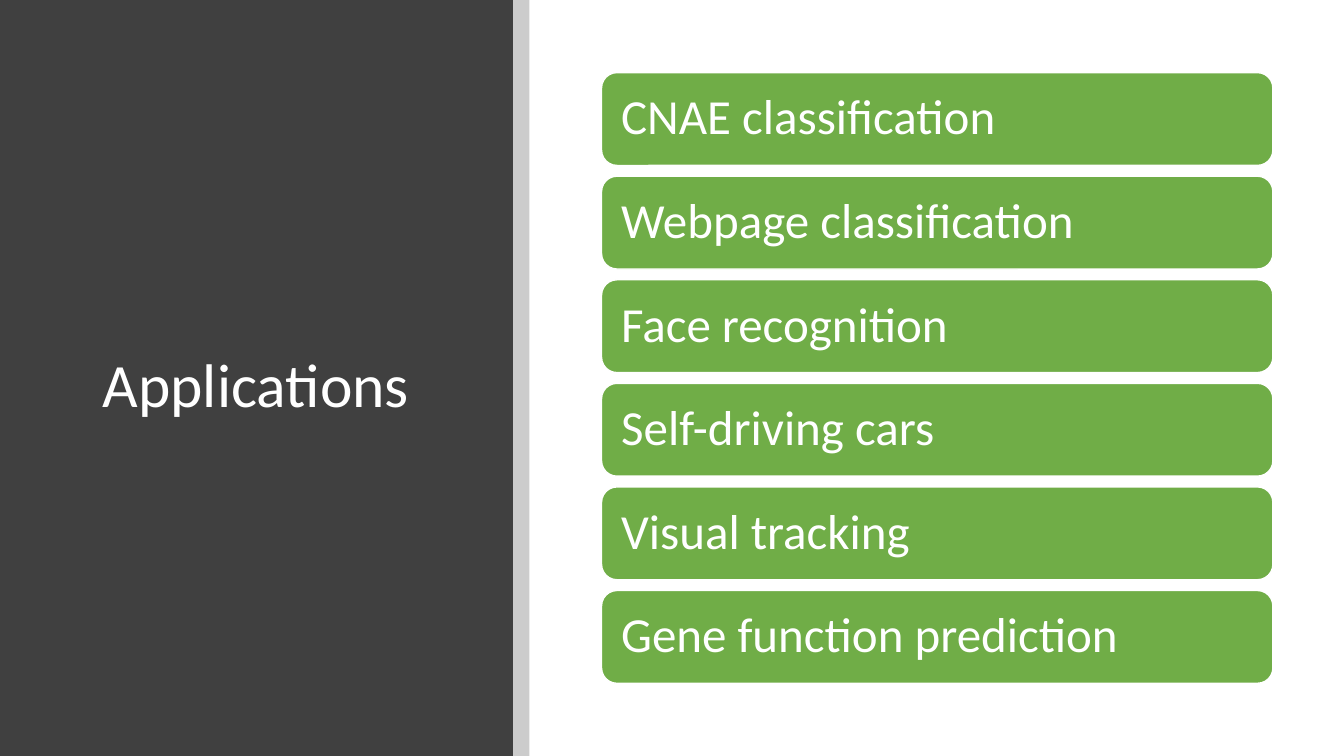
from dataclasses import dataclass

from lxml.etree import SubElement
from pptx import Presentation
from pptx.dml.color import RGBColor
from pptx.enum.shapes import MSO_SHAPE as Preset
from pptx.enum.text import MSO_ANCHOR as Anchor, PP_ALIGN as Align
from pptx.oxml.ns import qn
from pptx.shapes.autoshape import Shape
from pptx.slide import Slide
from pptx.util import Cm, Pt

COLORS = {"panel": "404040", "strip": "000000", "card": "70AD47", "white": "FFFFFF"}
FONT = "Calibri"
APPLICATIONS = (
    "CNAE classification",
    "Webpage classification",
    "Face recognition",
    "Self-driving cars",
    "Visual tracking",
    "Gene function prediction",
)
CARD_TOP = 1.83
CARD_PITCH = 2.61


@dataclass(frozen=True)
class Box:
    left: float
    top: float
    width: float
    height: float

    def lengths(self) -> tuple[Cm, Cm, Cm, Cm]:
        return Cm(self.left), Cm(self.top), Cm(self.width), Cm(self.height)


@dataclass(frozen=True)
class Card:
    text: str
    box: Box


def color(name: str) -> RGBColor:
    return RGBColor.from_string(COLORS[name])


def add_filled(slide: Slide, preset: Preset, box: Box, fill: str) -> Shape:
    shape = slide.shapes.add_shape(preset, *box.lengths())
    shape.shadow.inherit = False
    shape.fill.solid()
    shape.fill.fore_color.rgb = color(fill)
    shape.line.fill.background()
    return shape


def set_opacity(shape: Shape, percent: int) -> None:
    fill_color = shape.fill._xPr.find(qn("a:solidFill"))[0]
    SubElement(fill_color, qn("a:alpha"), val=str(percent * 1000))


def write_text(shape: Shape, text: str, *, size: float, horizontal: float, vertical: float) -> None:
    frame = shape.text_frame
    frame.word_wrap = True
    frame.vertical_anchor = Anchor.MIDDLE
    frame.margin_left = frame.margin_right = Cm(horizontal)
    frame.margin_top = frame.margin_bottom = Cm(vertical)
    paragraph = frame.paragraphs[0]
    paragraph.alignment = Align.LEFT
    paragraph.line_spacing = 0.9
    run = paragraph.add_run()
    run.text = text
    run.font.name = FONT
    run.font.size = Pt(size)
    run.font.color.rgb = color("white")


def add_card(slide: Slide, card: Card) -> None:
    shape = add_filled(slide, Preset.ROUNDED_RECTANGLE, card.box, "card")
    shape.line.color.rgb = color("white")
    shape.line.width = Pt(1)
    write_text(shape, card.text, size=35, horizontal=0.38, vertical=0.38)


def main() -> None:
    presentation = Presentation()
    presentation.slide_width = Cm(33.87)
    presentation.slide_height = Cm(19.05)
    slide = presentation.slides.add_slide(presentation.slide_layouts[6])

    add_filled(slide, Preset.RECTANGLE, Box(0, 0, 12.93, 19.05), "panel")
    strip = add_filled(slide, Preset.RECTANGLE, Box(12.93, 0, 0.41, 19.05), "strip")
    set_opacity(strip, 20)

    title = slide.shapes.add_textbox(*Box(2.34, 2.26, 9.27, 15.01).lengths())
    write_text(title, "Applications", size=44, horizontal=0.25, vertical=0.13)

    for index, text in enumerate(APPLICATIONS):
        box = Box(15.16, CARD_TOP + index * CARD_PITCH, 16.92, 2.34)
        add_card(slide, Card(text, box))

    presentation.save("out.pptx")


if __name__ == "__main__":
    main()
